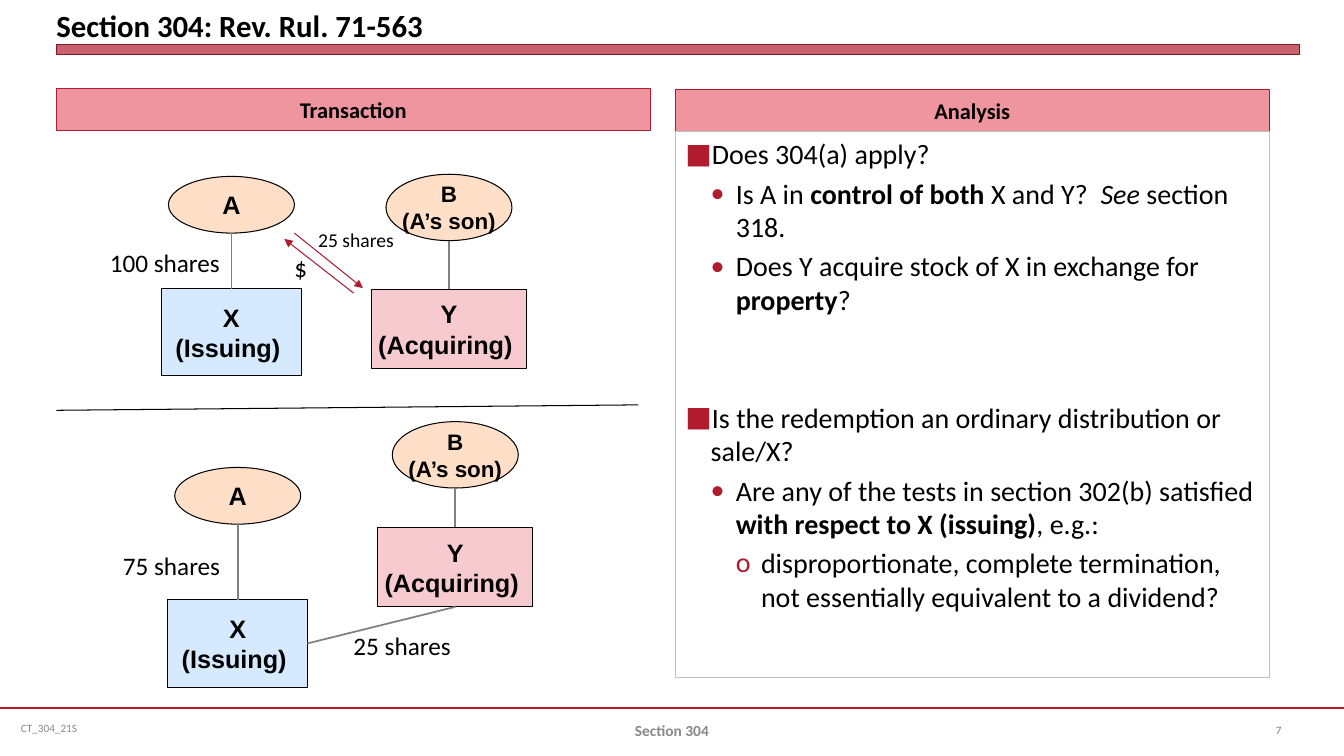
from lxml import etree
from pptx import Presentation, util as u
from pptx.dml.color import RGBColor
from pptx.enum import shapes, text
from pptx.oxml.ns import qn

HUES = {
    "red": "B01C2E", "dark": "821522", "rose": "EE95A0", "pink": "F7CAD0",
    "sky": "D6EAFF", "peach": "FFDFC8", "black": "000000", "white": "FFFFFF",
    "gray": "808080", "mist": "898989", "edge": "C0C0C0",
}
RGB = {name: RGBColor.from_string(code) for name, code in HUES.items()}
COLS, ROWS = 160, 90
CELL = u.Inches(1) / 12
MID, LEFT = text.PP_ALIGN.CENTER, text.PP_ALIGN.LEFT


def grid(*spans):
    """Turn columns and rows into slide lengths."""
    return [u.Emu(round(span * CELL)) for span in spans]


def say(para, words, size, hue="black", bold=False, face="Calibri", align=LEFT):
    """Add one run, with each newline as a line break."""
    para.alignment = align
    for i, part in enumerate(words.split("\n")):
        if i:
            para.add_line_break()
        run = para.add_run()
        run.text = part
        run.font.size, run.font.name, run.font.bold = u.Pt(size), face, bold
        run.font.color.rgb = RGB[hue]
    return run


deck = Presentation()
deck.slide_width, deck.slide_height = grid(COLS, ROWS)
slide = deck.slides.add_slide(deck.slide_layouts[4])
art = slide.shapes
slots = {slot.placeholder_format.idx: slot for slot in slide.placeholders}
spare = slots[2].element
spare.getparent().remove(spare)

# Title and its bar
bar = art.add_shape(shapes.MSO_SHAPE.RECTANGLE, *grid(6.7, 5.35, 148, 1.2))
bar.shadow.inherit = False
bar.fill.solid()
bar.fill.fore_color.rgb = RGB["red"]
tint = bar.fill._xPr.find(".//" + qn("a:srgbClr"))
etree.SubElement(tint, qn("a:alpha"), val="69000")
bar.line.color.rgb = RGB["dark"]
bar.line.width = 0

head = art.title
head.left, head.top, head.width, head.height = grid(6.7, 0, 148, 5.15)
frame = head.text_frame
frame.auto_size = text.MSO_AUTO_SIZE.NONE
frame.vertical_anchor = text.MSO_ANCHOR.BOTTOM
frame.margin_left = frame.margin_right = frame.margin_top = frame.margin_bottom = 0
say(frame.paragraphs[0], "Section 304: Rev. Rul. 71-563", 22, bold=True)

# Panels
panels = [
    (1, 6.7, 10.55, 5, "rose", "red", "Transaction"),
    (3, 80.4, 10.7, 5, "rose", "red", "Analysis"),
    (4, 80.4, 15.7, 65, "white", "edge", ""),
]
for idx, x, y, tall, fill, edge, label in panels:
    box = slots[idx]
    box.left, box.top, box.width, box.height = grid(x, y, 70.7, tall)
    box.fill.solid()
    box.fill.fore_color.rgb = RGB[fill]
    box.line.color.rgb = RGB[edge]
    box.line.width = u.Pt(0.75)
    box.text_frame.auto_size = text.MSO_AUTO_SIZE.NONE
    if label:
        box.text_frame.vertical_anchor = text.MSO_ANCHOR.MIDDLE
        para = box.text_frame.paragraphs[0]
        para.space_before = 0
        say(para, label, 16, bold=True, align=MID)

# Analysis list: level, space before, runs with their style
points = [
    (0, 0, [("Does 304(a) apply?", "")]),
    (1, 4, [("Is A in ", ""), ("control of both ", "b"), ("X and Y?  ", ""),
            ("See ", "i"), ("section 318.", "")]),
    (1, 4, [("Does Y acquire stock of X in exchange for ", ""),
            ("property", "b"), ("?", "")]),
    (0, 60, [("Is the redemption an ordinary distribution or sale/X?", "")]),
    (1, 4, [("Are any of the tests in section 302(b) satisfied ", ""),
            ("with respect to X (issuing)", "b"), (", e.g.:", "")]),
    (2, 4, [("disproportionate, complete termination, "
             "not essentially equivalent to a dividend?", "")]),
]
frame = slots[4].text_frame
for i, (level, gap, runs) in enumerate(points):
    para = frame.add_paragraph() if i else frame.paragraphs[0]
    para.level = level
    props = para._p.get_or_add_pPr()
    props.set("marL", str(u.Inches(0.25 * (level + 1))))
    props.set("indent", str(u.Inches(-0.25)))
    ink = etree.SubElement(props, qn("a:buClr"))
    etree.SubElement(ink, qn("a:srgbClr"), val=HUES["red"])
    etree.SubElement(props, qn("a:buFont"), typeface="Calibri")
    etree.SubElement(props, qn("a:buChar"), char="■•o"[level])
    para.space_before = u.Pt(gap)
    for words, style in runs:
        run = say(para, words, 20, bold=style == "b")
        run.font.italic = style == "i"

# Owners and firms: centre, width, height, size, fill, text
oval, rect = shapes.MSO_SHAPE.OVAL, shapes.MSO_SHAPE.RECTANGLE
nodes = {
    "A": (oval, 27.55, 15, 6.75, 18, "peach", ["A"]),
    "X": (rect, 27.55, 16.6, 10.4, 18, "sky", ["X", "(Issuing) "]),
    "B": (oval, 53.45, 15, 7.9, 16, "peach", ["B\n(A’s son)"]),
    "Y": (rect, 53.45, 18.5, 9.45, 18, "pink", ["Y", "(Acquiring) "]),
}
scenes = [
    (0, {"A": 21, "X": 34.35, "B": 20.75, "Y": 34.45}),
    (0.75, {"A": 55.65, "X": 71.4, "B": 50.2, "Y": 62.8}),
]
# Lines: start, end, hue, width, arrow, joined ends
lines = [
    ((0, 84.25), (COLS, 84.25), "red", 1.25, False, []),
    ((6.7, 48.85), (76, 48.2), "black", 0.75, False, []),
    ((35.05, 27.75), (43.2, 34.3), "red", 0.75, True, []),
    ((42.1, 34.9), (33.85, 28.45), "red", 0.75, True, []),
]
for shift, tops in scenes:
    made = {}
    for name, (kind, mid, wide, tall, size, fill, rows) in nodes.items():
        node = art.add_shape(kind, *grid(mid + shift - wide / 2, tops[name], wide, tall))
        node.shadow.inherit = False
        node.fill.solid()
        node.fill.fore_color.rgb = RGB[fill]
        node.line.color.rgb = RGB["black"]
        node.line.width = u.Pt(0.75)
        frame = node.text_frame
        frame.word_wrap = False
        frame.vertical_anchor = text.MSO_ANCHOR.MIDDLE
        for i, row in enumerate(rows):
            para = frame.add_paragraph() if i else frame.paragraphs[0]
            say(para, row, size, bold=True, face="Arial", align=MID)
        made[name] = node
    for owner, firm in ("AX", "BY"):
        x = nodes[owner][1] + shift
        start = (x, tops[owner] + nodes[owner][3])
        lines.append((start, (x, tops[firm]), "gray", 1.25, False,
                      [("end", made[firm], 0)]))
lines.append(((54.2, 72.25), (36.6, 76.6), "gray", 1.25, False,
              [("begin", made["Y"], 2), ("end", made["X"], 3)]))

for start, end, hue, width, arrow, joins in lines:
    line = art.add_connector(shapes.MSO_CONNECTOR.STRAIGHT, *grid(*start, *end))
    line.line.color.rgb = RGB[hue]
    line.line.width = u.Pt(width)
    if arrow:
        etree.SubElement(line.line._get_or_add_ln(), qn("a:tailEnd"), type="triangle")
    etree.SubElement(line._element.spPr, qn("a:effectLst"))
    for tip, node, side in joins:
        if tip == "begin":
            line.begin_connect(node, side)
        else:
            line.end_connect(node, side)

# Labels and footer: place, text, size, hue, bold, align, wrap
labels = [
    ((11.9, 28.8, 15.6, 4.8), "100 shares", 18, "black", False, LEFT, False),
    ((13.45, 64.9, 14.15, 4.8), "75 shares", 18, "black", False, LEFT, False),
    ((36.7, 26.5, 11.5, 4.05), "25 shares", 14, "black", False, LEFT, False),
    ((33.85, 29.5, 4, 4.8), "$", 18, "black", False, LEFT, False),
    ((40.9, 74.4, 14.15, 4.8), "25 shares", 18, "black", False, LEFT, False),
    ((1.3, 84.25, 41.3, 4.8), "CT_304_21S", 8, "mist", False, LEFT, True),
    ((54.7, 84.6, 50.6, 4.8), "Section 304", 11, "mist", True, MID, True),
    ((150.7, 84.5, 8, 4.8), "7", 8, "gray", False, LEFT, True),
]
for place, words, size, hue, bold, align, wrap in labels:
    frame = art.add_textbox(*grid(*place)).text_frame
    frame.word_wrap = wrap
    if wrap:
        frame.vertical_anchor = text.MSO_ANCHOR.MIDDLE
    say(frame.paragraphs[0], words, size, hue, bold, align=align)

deck.save("out.pptx")
